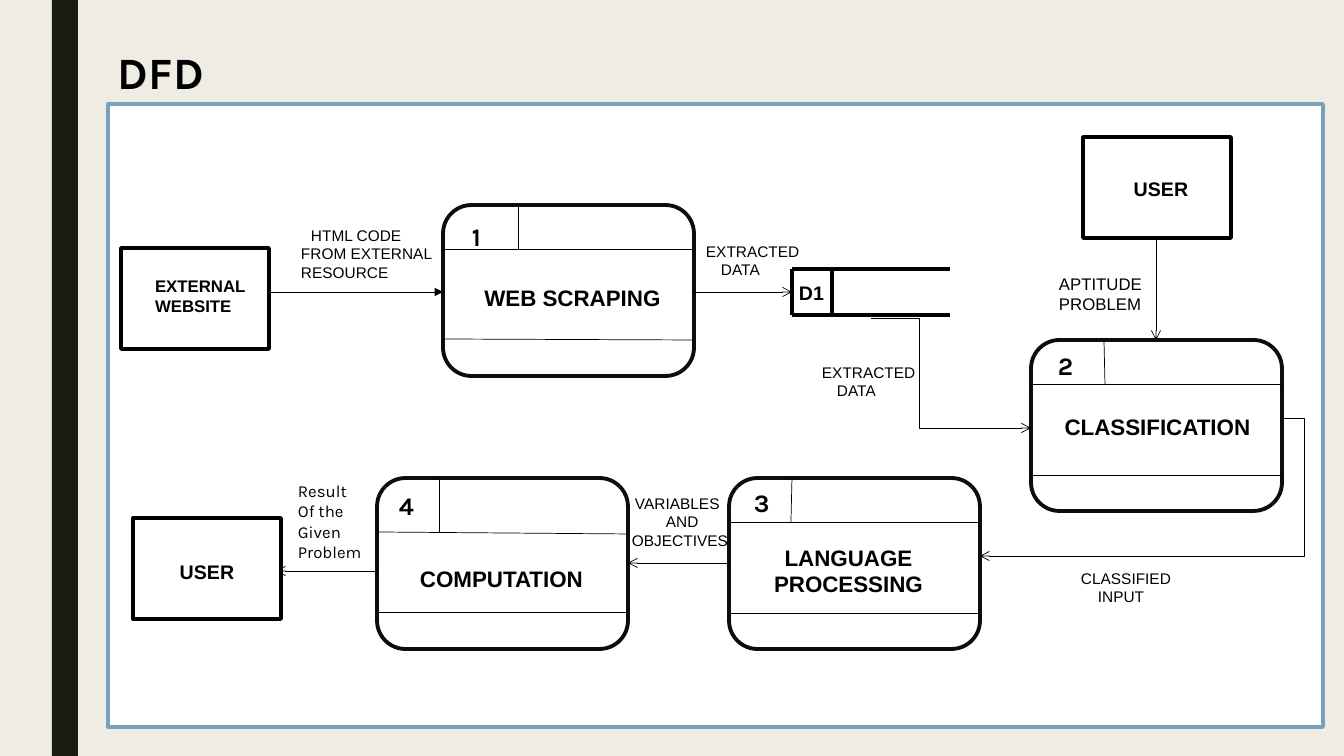
from lxml import etree
from pptx import Presentation
from pptx.dml.color import RGBColor
from pptx.enum.shapes import MSO_CONNECTOR as CONNECTOR, MSO_SHAPE as SHAPE
from pptx.enum.text import MSO_ANCHOR as ANCHOR, PP_ALIGN as ALIGN
from pptx.oxml.ns import qn
from pptx.util import Emu, Pt

SCALE = 914400 / 100.8
BLACK, WHITE, OUTLINE = "000000", "FFFFFF", "0D0D0D"


def px(length):
    return Emu(round(length * SCALE))


def color(value):
    return RGBColor.from_string(value)


class Diagram:
    heading_font = "Karla"
    label_font = "Arial"

    def __init__(self, slide):
        self.slide = slide
        fill = slide.background.fill
        fill.solid()
        fill.fore_color.rgb = color("EFEDE3")

    def add_lines(self, frame, lines, size, font, bold, align):
        frame.word_wrap = True
        for index, line in enumerate(lines):
            text, indent = line if isinstance(line, tuple) else (line, 0)
            paragraph = frame.paragraphs[0] if index == 0 else frame.add_paragraph()
            paragraph.alignment = align
            if indent:
                paragraph._p.get_or_add_pPr().set("marL", str(px(indent)))
            run = paragraph.add_run()
            run.text = text
            run.font.name = font
            run.font.size = Pt(size)
            run.font.bold = bold
            run.font.color.rgb = color(BLACK)

    def text(self, x, y, width, lines, size=11, font=label_font, bold=False):
        height = len(lines) * size * 1.7
        box = self.slide.shapes.add_textbox(px(x), px(y), px(width), px(height))
        frame = box.text_frame
        frame.margin_left = frame.margin_right = frame.margin_top = frame.margin_bottom = 0
        self.add_lines(frame, lines, size, font, bold, ALIGN.LEFT)

    def box(self, x, y, width, height, fill=WHITE, line=None, kind=SHAPE.RECTANGLE):
        shape = self.slide.shapes.add_shape(kind, px(x), px(y), px(width), px(height))
        shape.shadow.inherit = False
        shape.fill.solid()
        shape.fill.fore_color.rgb = color(fill)
        if line:
            shape.line.color.rgb = color(line)
            shape.line.width = Pt(2.75)
        else:
            shape.line.fill.background()
        return shape

    def caption(self, shape, lines, size, dx, dy, align=ALIGN.CENTER):
        frame = shape.text_frame
        frame.vertical_anchor = ANCHOR.MIDDLE
        frame.margin_left, frame.margin_right = px(max(2 * dx, 0)), px(max(-2 * dx, 0))
        frame.margin_top, frame.margin_bottom = px(max(2 * dy, 0)), px(max(-2 * dy, 0))
        self.add_lines(frame, lines, size, self.label_font, True, align)

    def entity(self, x, y, lines, size=14, dx=0, dy=0, align=ALIGN.CENTER):
        shape = self.box(x, y, 148, 101, line=BLACK)
        self.caption(shape, lines, size, dx, dy, align)

    def process(self, x, y, number, lines, offset, number_at, divider, header=(44, 44), footer=(135, 135)):
        width = 251
        shape = self.box(x, y, width, 171, line=OUTLINE, kind=SHAPE.ROUNDED_RECTANGLE)
        self.caption(shape, lines, 16, *offset)
        for left, right in (header, footer):
            self.line(x, y + left, x + width, y + right)
        self.line(x + divider[0], y, x + divider[1], y + header[0])
        self.text(x + number_at[0], y + number_at[1], 30, [number], 18, self.heading_font, True)

    def line(self, x1, y1, x2, y2, width=0.5, head=None, bend=None):
        kind = CONNECTOR.STRAIGHT if bend is None else CONNECTOR.ELBOW
        connector = self.slide.shapes.add_connector(kind, px(x1), px(y1), px(x2), px(y2))
        connector.line.color.rgb = color(BLACK)
        connector.line.width = Pt(width)
        properties = connector._element.spPr
        if bend is not None:
            geometry = properties.find(qn("a:prstGeom"))
            guides = geometry.find(qn("a:avLst"))
            if guides is None:
                guides = etree.SubElement(geometry, qn("a:avLst"))
            ratio = round((bend - x1) / (x2 - x1) * 100000)
            etree.SubElement(guides, qn("a:gd"), name="adj1", fmla=f"val {ratio}")
        if head:
            etree.SubElement(properties.find(qn("a:ln")), qn("a:tailEnd"), type=head)
        etree.SubElement(properties, qn("a:effectLst"))

    def data_store(self, x, y, name):
        width, height, cell = 158, 46, 40
        for left in (x, x + cell):
            self.line(left, y, left, y + height, 3)
        for top in (y, y + height):
            self.line(x, top, x + width, top, 3)
        self.text(x + 7, y + 12, 33, [name], 14, bold=True)


presentation = Presentation()
presentation.slide_width, presentation.slide_height = px(1344), px(756)
diagram = Diagram(presentation.slides.add_slide(presentation.slide_layouts[6]))

diagram.box(52, 0, 26, 756, fill="191B0E")
diagram.box(108, 104, 1215, 623, line="77A2BB")
diagram.text(118, 45, 590, ["DFD"], 32, Diagram.heading_font, True)

diagram.process(443, 205, "1", ["WEB SCRAPING"], (4, 7), (29, 16), (75, 75), footer=(134, 135))
diagram.process(1031, 340, "2", ["CLASSIFICATION"], (1, 1), (27, 10), (73, 74))
diagram.process(729, 478, "3", ["LANGUAGE", "PROCESSING"], (-6, 7), (25, 9), (63, 62))
diagram.process(377, 478, "4", ["COMPUTATION"], (-1, 15), (22, 12), (62, 62), (54, 56), (134, 134))
diagram.data_store(792, 269, "D1")

for x1, y1, x2, y2, head, bend in [
    (271, 292, 443, 292, "triangle", None),
    (692, 292, 792, 292, "arrow", None),
    (871, 318, 1031, 428, "arrow", 919),
    (1156, 238, 1156, 340, "arrow", None),
    (1282, 418, 980, 556, "arrow", 1304),
    (729, 563, 628, 563, "arrow", None),
    (377, 571, 276, 571, "arrow", None),
]:
    diagram.line(x1, y1, x2, y2, head=head, bend=bend)

diagram.entity(121, 248, ["EXTERNAL", "WEBSITE"], 12, 17, -3, ALIGN.LEFT)
diagram.entity(133, 518, ["USER"], dy=3)
diagram.entity(1083, 137, ["USER"], dx=4, dy=1)

extracted = ["EXTRACTED", ("DATA", 15)]
diagram.text(301, 226, 140, [("HTML CODE", 10), "FROM EXTERNAL", "RESOURCE"])
diagram.text(706, 242, 110, extracted)
diagram.text(822, 363, 110, extracted)
diagram.text(1059, 274, 96, ["APTITUDE", "PROBLEM"], 12)
diagram.text(1081, 569, 110, ["CLASSIFIED", ("INPUT", 17)])
diagram.text(632, 494, 110, [("VARIABLES", 3), ("AND", 34), "OBJECTIVES"])
diagram.text(298, 481, 80, ["Result", "Of the", "Given", "Problem"], 12, Diagram.heading_font)

presentation.save("out.pptx")
